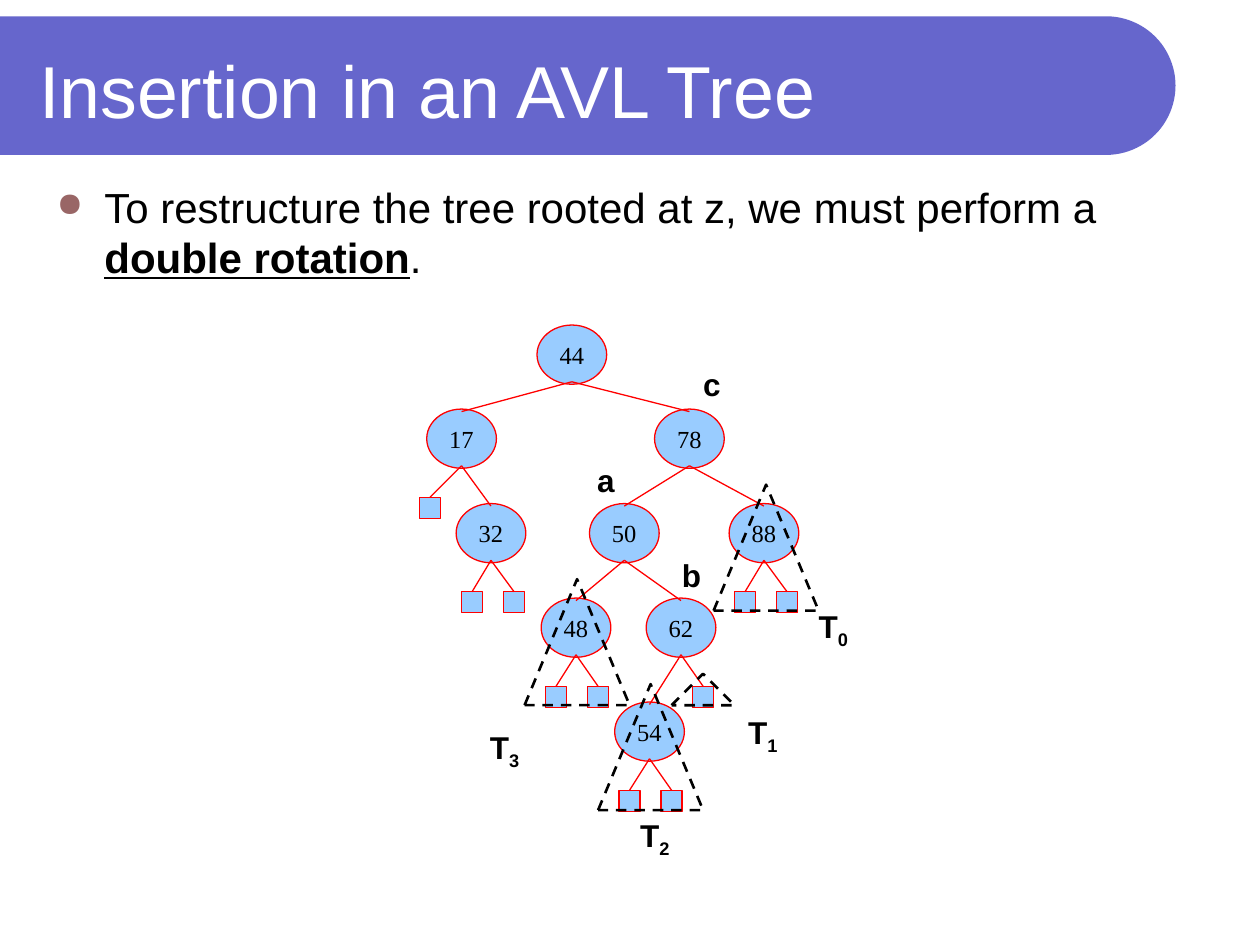
from dataclasses import dataclass
from math import cos, pi, sin
from typing import Optional

from lxml import etree
from pptx import Presentation
from pptx import util as u
from pptx.dml.color import RGBColor
from pptx.enum import dml, shapes, text
from pptx.oxml.ns import qn

WIDTH, HEIGHT = 10, 7.5
CELL = 1 / 12                        # tree grid cell, inches
ORIGIN_X, ORIGIN_Y = 3.33, 2.58      # column 0, row 0 of the tree grid
NODE_W, NODE_H = 6.64, 5.64          # cells
LEAF, LEAF_DROP = 2, 8.4             # leaf side and its distance below the parent's top
OVERLAP = 0.24                       # how far an edge reaches into a node
SKY, RED, BLACK, WHITE = "99CCFF", "FF0000", "000000", "FFFFFF"


@dataclass
class Node:
    key: str
    col: float                       # centre column
    row: float                       # top row
    parent: Optional[str] = None
    leaves: tuple = ()               # centre columns of the empty leaves


@dataclass
class Subtree:
    col: float
    row: float
    cols: float
    rows: float


@dataclass
class Label:
    letter: str
    col: float
    row: float
    index: str = ""


NODES = [
    Node("44", 14.5, 0),
    Node("17", 4, 8, "44", (1,)),
    Node("78", 25.7, 8, "44"),
    Node("32", 6.8, 17, "17", (5, 9)),
    Node("50", 19.5, 17, "78"),
    Node("88", 32.8, 17, "78", (31, 35)),
    Node("48", 14.9, 26, "50", (13, 17)),
    Node("62", 24.9, 26, "50", (27,)),
    Node("54", 21.9, 35.9, "62", (20, 24)),
]
SUBTREES = [Subtree(10, 24.2, 10, 12), Subtree(17, 34.2, 10, 12),
            Subtree(28, 15.2, 10, 12), Subtree(24, 33.2, 6, 3)]
LABELS = [
    Label("c", 25.8, 3.2), Label("b", 23.8, 21.4), Label("a", 15.7, 12.4),
    Label("T", 5.5, 37.8, "3"), Label("T", 19.8, 46.2, "2"),
    Label("T", 30.1, 36.4, "1"), Label("T", 36.8, 26.3, "0"),
]


def colour(hex_string: str) -> RGBColor:
    return RGBColor.from_string(hex_string)


def x(col: float) -> int:
    return u.Inches(ORIGIN_X + col * CELL)


def y(row: float) -> int:
    return u.Inches(ORIGIN_Y + row * CELL)


def span(cells: float) -> int:
    return u.Inches(cells * CELL)


def add_run(paragraph, words: str, size: float, font: str = "Arial",
            ink: str = BLACK, bold: bool = False):
    run = paragraph.add_run()
    run.text = words
    run.font.size, run.font.name, run.font.bold = u.Pt(size), font, bold
    run.font.color.rgb = colour(ink)
    return run


def add_figure(slide, kind, col: float, row: float, cols: float, rows: float,
               fill: Optional[str] = SKY, line: str = RED, weight: float = 0.75):
    figure = slide.shapes.add_shape(kind, x(col), y(row), span(cols), span(rows))
    figure.shadow.inherit = False
    if fill:
        figure.fill.solid()
        figure.fill.fore_color.rgb = colour(fill)
    else:
        figure.fill.background()
    figure.line.color.rgb = colour(line)
    figure.line.width = u.Pt(weight)
    return figure


def add_edge(slide, parent: Node, col: float, row: float) -> None:
    edge = slide.shapes.add_connector(
        shapes.MSO_CONNECTOR.STRAIGHT, x(parent.col),
        y(parent.row + NODE_H - OVERLAP), x(col), y(row))
    edge.line.color.rgb = colour(RED)
    edge.line.width = u.Pt(0.75)
    etree.SubElement(edge._element.spPr, qn("a:effectLst"))


def add_node(slide, node: Node) -> None:
    oval = add_figure(slide, shapes.MSO_SHAPE.OVAL, node.col - NODE_W / 2,
                      node.row, NODE_W, NODE_H)
    frame = oval.text_frame
    frame.word_wrap = False
    frame.vertical_anchor = text.MSO_ANCHOR.MIDDLE
    frame.paragraphs[0].alignment = text.PP_ALIGN.CENTER
    add_run(frame.paragraphs[0], node.key, 14, "Times New Roman")
    for leaf in node.leaves:
        add_figure(slide, shapes.MSO_SHAPE.RECTANGLE, leaf - LEAF / 2,
                   node.row + LEAF_DROP, LEAF, LEAF)


def add_subtree(slide, subtree: Subtree) -> None:
    outline = add_figure(slide, shapes.MSO_SHAPE.ISOSCELES_TRIANGLE, subtree.col,
                         subtree.row, subtree.cols, subtree.rows, None, BLACK, 1.5)
    outline.line.dash_style = dml.MSO_LINE.DASH


def add_label(slide, label: Label) -> None:
    cols, rows = (5.2, 5.3) if label.index else (4.1, 4.8)
    box = slide.shapes.add_textbox(x(label.col), y(label.row), span(cols), span(rows))
    box.text_frame.word_wrap = not label.index
    paragraph = box.text_frame.paragraphs[0]
    paragraph.alignment = text.PP_ALIGN.CENTER
    add_run(paragraph, label.letter, 18, bold=True)
    if label.index:
        index = add_run(paragraph, label.index, 18, bold=True)
        index.font._element.set("baseline", "-25000")


def add_band(slide) -> None:
    centre_x, centre_y, radius, steps = 8.78, 0.68, 0.55, 48
    angles = [pi * (step / steps - 0.5) for step in range(steps + 1)]
    arc = [(u.Inches(centre_x + radius * cos(a)), u.Inches(centre_y + radius * sin(a)))
           for a in angles]
    builder = slide.shapes.build_freeform(0, u.Inches(centre_y - radius))
    builder.add_line_segments(arc + [(0, u.Inches(centre_y + radius))], close=True)
    band = builder.convert_to_shape()
    band.shadow.inherit = False
    band.fill.solid()
    band.fill.fore_color.rgb = colour("6666CC")
    band.line.fill.background()
    slide.shapes._spTree.insert(2, band._element)    # behind the title


def add_title(slide) -> None:
    title = slide.shapes.title
    title.left, title.top = u.Inches(0.21), u.Inches(0.21)
    title.width, title.height = u.Inches(8.77), u.Inches(1)
    frame = title.text_frame
    frame.auto_size = text.MSO_AUTO_SIZE.NONE
    frame.vertical_anchor = text.MSO_ANCHOR.MIDDLE
    frame.paragraphs[0].alignment = text.PP_ALIGN.LEFT
    add_run(frame.paragraphs[0], "Insertion in an AVL Tree", 42, ink=WHITE)


def add_statement(slide) -> None:
    box = slide.shapes.add_textbox(u.Inches(0.35), u.Inches(1.39),
                                   u.Inches(9.29), u.Inches(1))
    box.text_frame.word_wrap = True
    paragraph = box.text_frame.paragraphs[0]
    # Bullet with a hanging indent
    properties = paragraph._p.get_or_add_pPr()
    properties.set("marL", str(u.Inches(0.38)))
    properties.set("indent", str(-u.Inches(0.38)))
    bullet_colour = etree.SubElement(properties, qn("a:buClr"))
    etree.SubElement(bullet_colour, qn("a:srgbClr"), val="996666")
    etree.SubElement(properties, qn("a:buSzPct"), val="80000")
    etree.SubElement(properties, qn("a:buChar"), char="●")
    add_run(paragraph, "To restructure the tree rooted at z, we must perform a ", 24)
    add_run(paragraph, "double rotation", 24, bold=True).font.underline = True
    add_run(paragraph, ".", 24)


def main() -> None:
    deck = Presentation()
    deck.slide_width, deck.slide_height = u.Inches(WIDTH), u.Inches(HEIGHT)
    slide = deck.slides.add_slide(deck.slide_layouts[5])

    # Heading and statement
    add_band(slide)
    add_title(slide)
    add_statement(slide)

    # Tree: nodes with leaves, then the edges over them
    for node in NODES:
        add_node(slide, node)
    by_key = {node.key: node for node in NODES}
    for node in NODES:
        if node.parent:
            add_edge(slide, by_key[node.parent], node.col, node.row + OVERLAP)
        for leaf in node.leaves:
            add_edge(slide, node, leaf, node.row + LEAF_DROP)

    # Subtree outlines and names
    for subtree in SUBTREES:
        add_subtree(slide, subtree)
    for label in LABELS:
        add_label(slide, label)
    deck.save("out.pptx")


if __name__ == "__main__":
    main()
